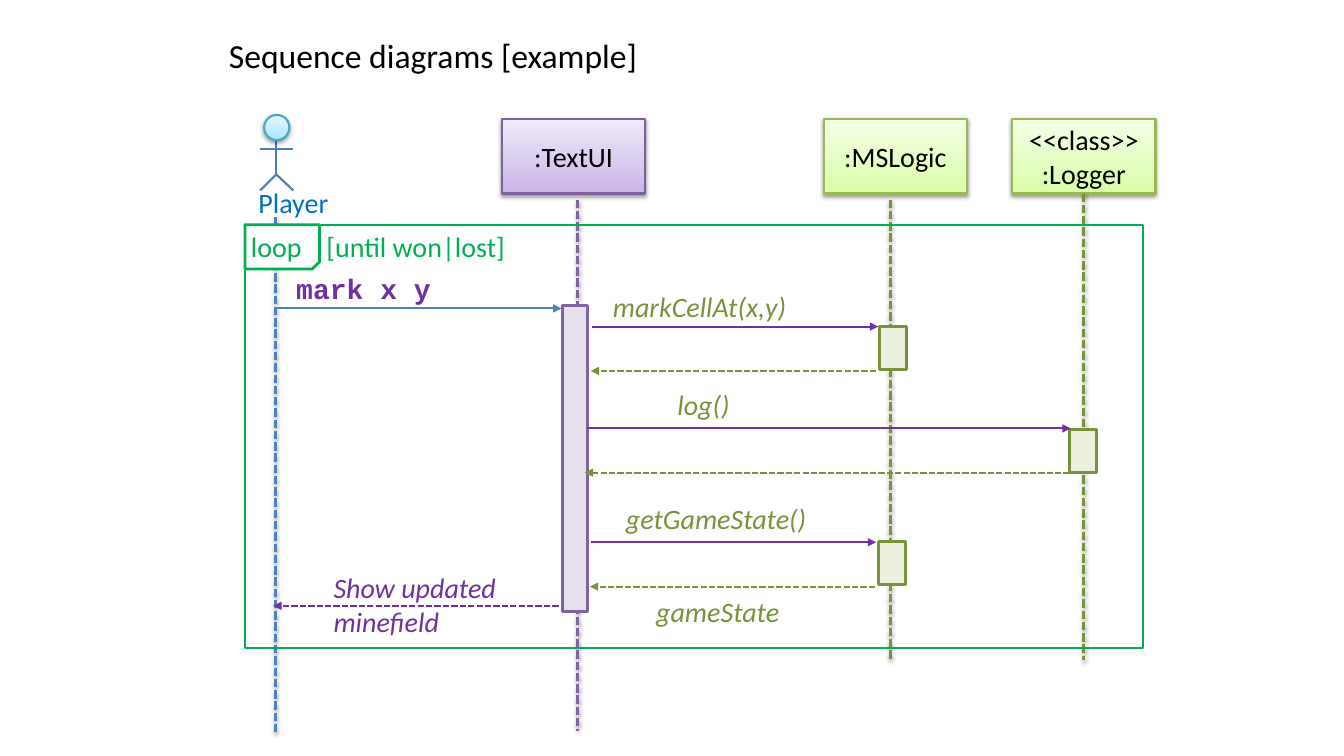
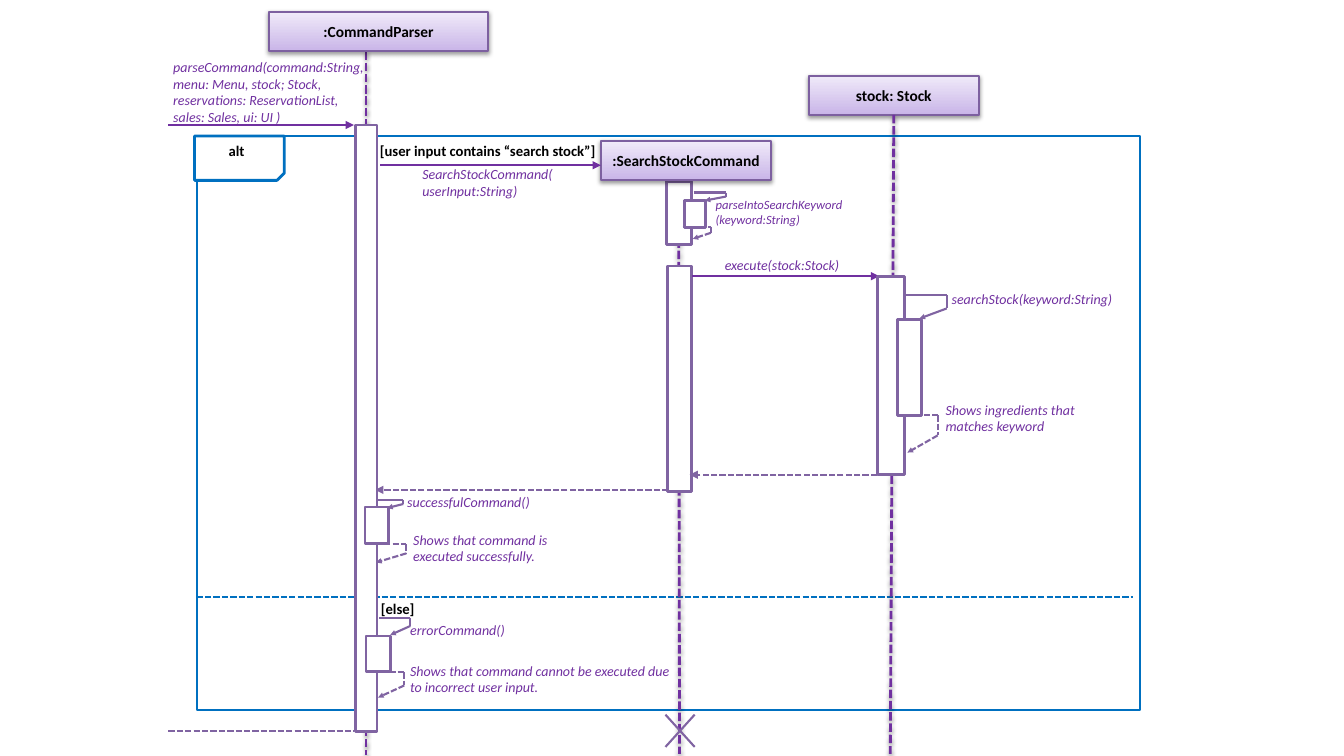
from itertools import pairwise

from lxml import etree
from pptx import Presentation
from pptx import util as u
from pptx.dml.color import RGBColor
from pptx.enum import dml, shapes, text
from pptx.oxml import ns

COLORS = {
    "black": "000000", "white": "FFFFFF", "purple": "7030A0", "violet": "8064A2",
    "violet_edge": "7D60A0", "violet_dark": "C9B5E8", "violet_light": "F0EAF9",
    "violet_pale": "E6E0EC", "olive": "77933C", "olive_pale": "EBF1DE",
    "lime_edge": "98B955", "lime_dark": "DAFDA7", "lime_light": "F5FFE7",
    "blue": "4F81BD", "figure": "4B7EBC", "aqua_edge": "46AAC5",
    "aqua_dark": "A7E6FF", "aqua_light": "E7F8FF", "green": "00B050", "sky": "0070C0",
}
VIOLET = ("violet_dark", "violet_light")
LIME = ("lime_dark", "lime_light")
AQUA = ("aqua_dark", "aqua_light")
SHAPE = shapes.MSO_SHAPE
MIDDLE = text.MSO_ANCHOR.MIDDLE
CENTER = text.PP_ALIGN.CENTER
LEFT = text.PP_ALIGN.LEFT


def rgb(name):
    return RGBColor.from_string(COLORS[name])


def inches(values):
    return [u.Inches(v) for v in values]


def write(tf, content, size=20, color="black", font="Calibri", bold=False, italic=False,
          align=LEFT, anchor=text.MSO_ANCHOR.TOP, inset=None):
    tf.word_wrap = True
    tf.vertical_anchor = anchor
    if inset is not None:
        tf.margin_left = tf.margin_right = tf.margin_top = tf.margin_bottom = u.Inches(inset)
    p = tf.paragraphs[0]
    p.text = content
    p.alignment = align
    for r in p.runs:
        r.font.size = u.Pt(size)
        r.font.name = font
        r.font.bold = bold
        r.font.italic = italic
        r.font.color.rgb = rgb(color)
    return p


def set_effect(shape, shadow):
    effects = etree.SubElement(shape._element.spPr, ns.qn("a:effectLst"))
    if shadow:
        outer = etree.SubElement(effects, ns.qn("a:outerShdw"), blurRad=str(u.Pt(3.1)),
                                 dist=str(u.Pt(1.6)), dir="5400000", rotWithShape="0")
        color = etree.SubElement(outer, ns.qn("a:srgbClr"), val=COLORS["black"])
        etree.SubElement(color, ns.qn("a:alpha"), val="38000")


class Diagram:
    def __init__(self):
        self.prs = Presentation()
        self.prs.slide_width, self.prs.slide_height = inches((13.33, 7.5))
        self.s = None

    def slide(self, title=None):
        self.s = self.prs.slides.add_slide(self.prs.slide_layouts[5 if title else 6])
        if title:
            sp = self.s.shapes.title
            sp.left, sp.top, sp.width, sp.height = inches((2.17, 0.3, 9, 0.55))
            write(sp.text_frame, title, size=24, anchor=MIDDLE).line_spacing = 0.9

    def label(self, at, content, **kw):
        write(self.s.shapes.add_textbox(*inches(at)).text_frame, content, **kw)

    def shape(self, at, line, fill=None, width=2, kind=SHAPE.RECTANGLE, shadow=False, into=None):
        sp = (into or self.s).shapes.add_shape(kind, *inches(at))
        if fill is None:
            sp.fill.background()
        elif isinstance(fill, tuple):
            sp.fill.gradient()
            sp.fill.gradient_angle = 90
            for stop, name in zip(sp.fill.gradient_stops, fill):
                stop.color.rgb = rgb(name)
        else:
            sp.fill.solid()
            sp.fill.fore_color.rgb = rgb(fill)
        sp.line.color.rgb = rgb(line)
        sp.line.width = u.Pt(width)
        set_effect(sp, shadow)
        return sp

    def head(self, at, content, fill=VIOLET, line="violet_edge", **kw):
        sp = self.shape(at, line, fill, 1.5, shadow=True)
        write(sp.text_frame, content, align=CENTER, anchor=MIDDLE, inset=0, **kw)
        return sp

    def frame(self, at, tab, color, fill=None):
        self.shape(at, color, fill, 1.5)
        sp = self.shape(tab, color, "white", kind=SHAPE.SNIP_1_RECTANGLE)
        sp._element.spPr.xfrm.set("flipV", "1")

    def line(self, start, end, color, dashed=False, arrow=None, width=1.5, shadow=False, into=None):
        c = (into or self.s).shapes.add_connector(
            shapes.MSO_CONNECTOR.STRAIGHT, *inches((*start, *end)))
        c.line.color.rgb = rgb(color)
        c.line.width = u.Pt(width)
        if dashed:
            c.line.dash_style = dml.MSO_LINE.SQUARE_DOT
        if arrow:
            etree.SubElement(c._element.spPr.find(ns.qn("a:ln")), ns.qn("a:tailEnd"),
                             type="triangle", w=arrow, len=arrow)
        set_effect(c, shadow)
        return c

    def lifeline(self, start, end, color, owner=None):
        c = self.line(start, end, color, dashed=True, width=2, shadow=True)
        if owner is not None:
            c.begin_connect(owner, 2)

    def message(self, x1, x2, y, color, dashed=False):
        self.line((x1, y), (x2, y), color, dashed, "med")

    def self_call(self, start, corner, end, dashed=False):
        group = self.s.shapes.add_group_shape()
        points = [start, (corner[0], start[1]), corner, end]
        for a, b in pairwise(points):
            self.line(a, b, "violet", dashed, "sm" if b == end else None, into=group)

    def actor(self, x, top):
        group = self.s.shapes.add_group_shape()
        hip = (x, top + 0.59)
        for a, b in [((x, top + 0.17), hip), ((x - 0.16, top + 0.34), (x + 0.17, top + 0.34)),
                     (hip, (x - 0.16, top + 0.75)), (hip, (x + 0.17, top + 0.75))]:
            self.line(a, b, "figure", into=group)
        self.shape((x - 0.12, top, 0.25, 0.25), "aqua_edge", AQUA, 1.5,
                   SHAPE.OVAL, shadow=True, into=group)


def game_slide(d):
    d.slide("Sequence diagrams [example]")
    d.lifeline((2.73, 2.15), (2.73, 7.27), "blue")
    d.lifeline((5.73, 1.98), (5.73, 7.25), "violet")
    d.actor(2.74, 1.14)
    d.label((2.32, 1.79, 1.18, 0.44), "Player", color="sky", align=CENTER)

    d.head((4.98, 1.18, 1.42, 0.74), ":TextUI")
    lime = {"fill": LIME, "line": "lime_edge"}
    d.head((8.17, 1.18, 1.42, 0.74), ":MSLogic", **lime)
    logger = d.head((10.04, 1.18, 1.42, 0.74), "<<class>>\v:Logger", **lime)
    d.lifeline((8.83, 1.98), (8.83, 6.55), "olive")
    d.lifeline((10.75, 1.92), (10.75, 6.55), "olive", logger)

    d.shape((5.58, 3.03, 0.25, 3.04), "violet", "violet_pale")
    for x, y in [(8.72, 3.24), (8.71, 5.37), (10.61, 4.26)]:
        d.shape((x, y, 0.27, 0.43), "olive", "olive_pale")

    d.message(2.73, 5.57, 3.06, "blue")
    d.message(5.54, 2.71, 6.01, "purple", True)
    for x1, x2, y in [(5.87, 8.71, 3.24), (5.82, 10.62, 4.25), (5.86, 8.69, 5.38)]:
        d.message(x1, x2, y, "purple")
    for x1, x2, y in [(8.69, 5.86, 3.68), (10.61, 5.8, 4.69), (8.68, 5.85, 5.82)]:
        d.message(x1, x2, y, "olive", True)

    d.label((2.84, 2.64, 2.54, 0.44), "mark x y", color="purple", font="Courier New", bold=True)
    d.label((3.21, 5.61, 2.34, 0.77), "Show updated minefield", color="purple", italic=True)
    for x, y, w, content in [(5.98, 2.82, 2.79, "markCellAt(x,y)"), (6.62, 3.8, 1.07, "log()"),
                             (6.11, 4.93, 2.46, "getGameState()"), (6.41, 5.85, 1.87, "gameState")]:
        d.label((x, y, w, 0.44), content, color="olive", italic=True)

    d.frame((2.43, 2.23, 8.91, 4.2), (2.43, 2.23, 0.74, 0.44), "green")
    for x, w, content in [(2.39, 0.8, "loop"), (3.14, 2.5, "[until won|lost]")]:
        d.label((x, 2.23, w, 0.42), content, color="green", anchor=MIDDLE)


def command_slide(d):
    d.slide()
    d.frame((1.95, 1.35, 9.36, 5.69), (1.93, 1.35, 0.89, 0.44), "sky", "white")
    for x, y, w, content in [(2.17, 1.32, 0.6, "alt"),
                             (3.67, 1.32, 2.4, "[user input contains “search stock”]"),
                             (3.68, 5.86, 0.7, "[else]")]:
        d.label((x, y, w, 0.35), content, size=10.5, bold=True, anchor=MIDDLE)
    d.line((1.95, 5.92), (11.24, 5.92), "sky", True)

    d.lifeline((6.73, 1.48), (6.74, 7.48), "purple")
    d.lifeline((3.63, 0.51), (3.63, 7.49), "purple")
    for at in [(6.61, 1.8, 0.25, 0.63), (6.62, 2.64, 0.24, 2.24)]:
        d.shape(at, "violet", "white")
    d.head((2.67, 0.12, 2.17, 0.39), ":CommandParser", size=11, bold=True)
    d.head((5.96, 1.4, 1.69, 0.39), ":SearchStockCommand", size=11, bold=True)
    stock = d.head((8.02, 0.75, 1.69, 0.39), "stock: Stock", size=11, bold=True)
    d.lifeline((8.86, 1.14), (8.83, 7.48), "purple", stock)

    for x1, x2, y in [(1.67, 3.51, 1.24), (3.77, 5.96, 1.64), (6.86, 8.72, 2.74)]:
        d.message(x1, x2, y, "purple")
    for x1, x2, y in [(8.7, 6.84, 4.71), (6.63, 3.72, 4.86)]:
        d.message(x1, x2, y, "violet", True)
    d.line((1.67, 7.25), (3.51, 7.25), "violet", True)
    for y1, y2 in [(7.41, 7.09), (7.09, 7.41)]:
        d.line((6.89, y1), (6.6, y2), "violet")

    for call in [((6.88, 1.91), (7.2, 1.95), (6.99, 1.99)),
                 ((8.98, 2.93), (9.39, 3.06), (9.12, 3.16)),
                 ((3.75, 4.96), (4, 5), (3.84, 5.04)),
                 ((3.76, 6.13), (4.07, 6.21), (3.87, 6.3))]:
        d.self_call(*call)
    for reply in [((6.77, 2.25), (7.05, 2.31), (6.87, 2.37)),
                  ((8.83, 4.12), (9.3, 4.32), (9, 4.49)),
                  ((3.56, 5.4), (4.03, 5.49), (3.73, 5.58)),
                  ((3.61, 6.67), (4.01, 6.8), (3.75, 6.92))]:
        d.self_call(*reply, dashed=True)

    note = {"color": "purple", "italic": True}
    for at, content in [
        ((1.62, 0.53, 2.14, 0.77), "parseCommand(command:String, menu: Menu, stock; Stock, "
                                   "reservations: ReservationList, sales: Sales, ui: UI )"),
        ((4.09, 1.59, 1.51, 0.44), "SearchStockCommand(userInput:String)"),
        ((7.09, 2.5, 1.38, 0.27), "execute(stock:Stock)"),
        ((9.34, 2.83, 1.81, 0.27), "searchStock(keyword:String)"),
        ((9.28, 3.93, 1.81, 0.44), "Shows ingredients that matches keyword"),
        ((3.94, 4.85, 1.75, 0.27), "successfulCommand()"),
        ((4, 5.22, 1.81, 0.44), "Shows that command is executed successfully."),
        ((3.97, 6.12, 1.75, 0.27), "errorCommand()"),
        ((3.97, 6.52, 2.77, 0.44), "Shows that command cannot be executed due "
                                   "to incorrect user input."),
    ]:
        d.label(at, content, size=10, **note)
    d.label((7, 1.9, 1.47, 0.4), "parseIntoSearchKeyword(keyword:String)", size=9, **note)

    for at in [(6.79, 1.99, 0.21, 0.27), (8.7, 2.74, 0.27, 1.97), (8.9, 3.17, 0.24, 0.95),
               (3.53, 1.24, 0.21, 6.02), (3.62, 5.03, 0.23, 0.36), (3.63, 6.31, 0.24, 0.35)]:
        d.shape(at, "violet", "white")


def main():
    d = Diagram()
    game_slide(d)
    command_slide(d)
    d.prs.save("out.pptx")


if __name__ == "__main__":
    main()
